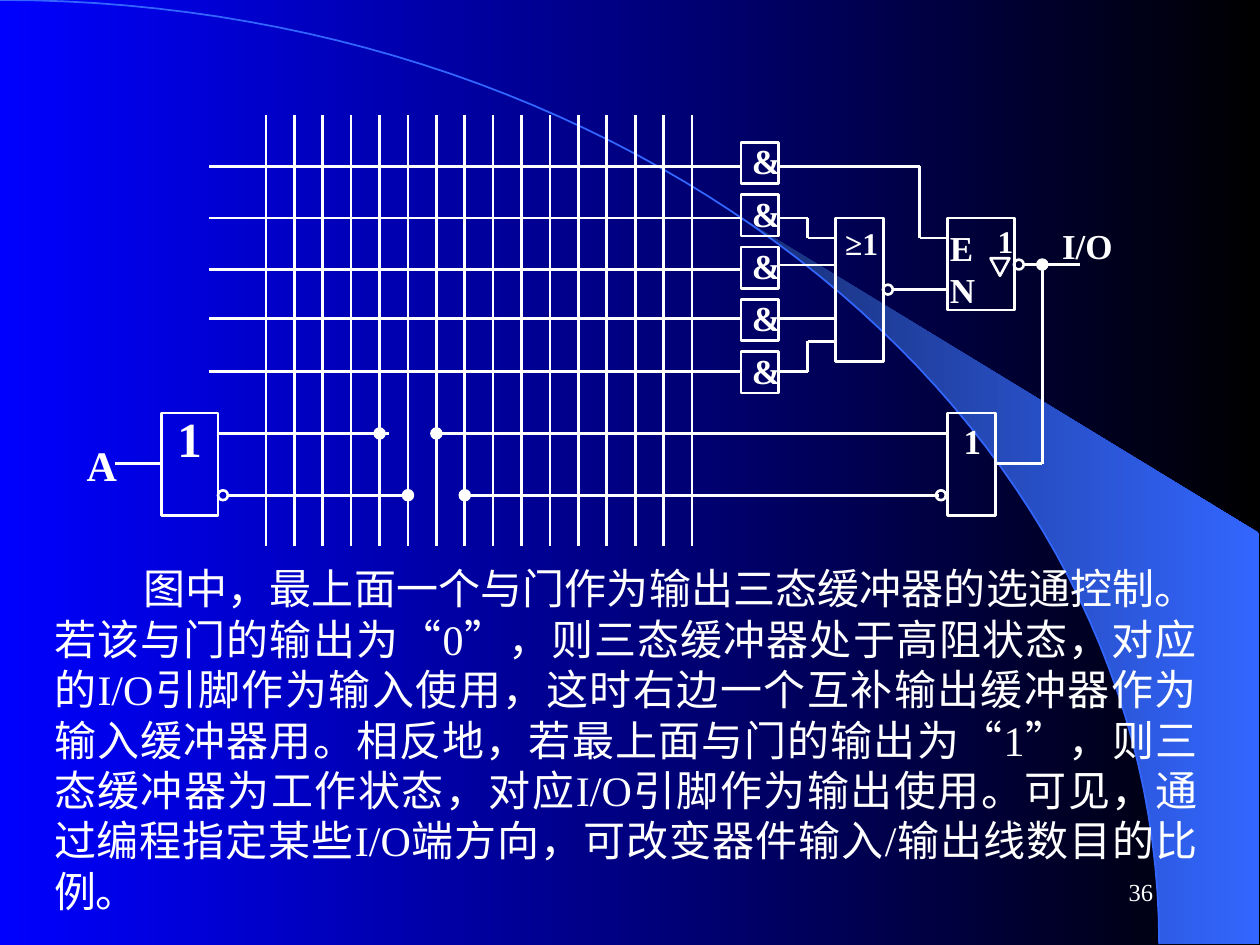
from pptx import Presentation
from pptx.dml.color import RGBColor
from pptx.enum.lang import MSO_LANGUAGE_ID as LANG
from pptx.enum.shapes import MSO_CONNECTOR, MSO_SHAPE as SHAPE
from pptx.enum.text import MSO_ANCHOR, MSO_AUTO_SIZE as AUTO, PP_ALIGN as ALIGN
from pptx.oxml.ns import qn
from pptx.util import Pt
from lxml import etree


def rgb(value):
    return RGBColor.from_string(value)


def arc_points(count=60):
    """Points along the large curve that crosses the slide."""
    curve = ((0, 0), (366, 0), (662.4, 241), (662.4, 539.5))
    weights = (1, 3, 3, 1)
    points = []
    for i in range(count + 1):
        t = i / count
        basis = [w * (1 - t) ** (3 - k) * t ** k for k, w in enumerate(weights)]
        points.append(tuple(sum(b * c[axis] for b, c in zip(basis, curve))
                            for axis in (0, 1)))
    return points


class Circuit:
    font = "Times New Roman"
    ink = "FFFFFF"
    accent = "3366FF"
    weight = 1.5

    def __init__(self, slide):
        self.s = slide

    def gradient(self, fill, start, end):
        fill.gradient()
        fill.gradient_angle = 0
        for stop, color in zip(fill.gradient_stops, (start, end)):
            stop.color.rgb = rgb(color)

    def outline(self, points, close):
        points = [(Pt(x), Pt(y)) for x, y in points]
        builder = self.s.shapes.build_freeform(*points[0], scale=1.0)
        builder.add_line_segments(points[1:], close=close)
        sp = builder.convert_to_shape()
        sp.shadow.inherit = False
        return sp

    def shape(self, kind, x, y, w, h, filled=False):
        sp = self.s.shapes.add_shape(kind, Pt(x), Pt(y), Pt(w), Pt(h))
        sp.shadow.inherit = False
        if filled:
            sp.fill.solid()
            sp.fill.fore_color.rgb = rgb(self.ink)
        else:
            sp.fill.background()
        sp.line.color.rgb = rgb(self.ink)
        sp.line.width = Pt(self.weight)
        return sp

    def box(self, x, y, w, h):
        return self.shape(SHAPE.RECTANGLE, x, y, w, h)

    def circle(self, x, y, filled=False):
        """Junction dot when filled, inversion bubble when not; x, y is the centre."""
        d = 5.6
        return self.shape(SHAPE.OVAL, x - d / 2, y - d / 2, d, d, filled)

    def wire(self, *points):
        for (x1, y1), (x2, y2) in zip(points, points[1:]):
            c = self.s.shapes.add_connector(
                MSO_CONNECTOR.STRAIGHT, Pt(x1), Pt(y1), Pt(x2), Pt(y2))
            c.line.color.rgb = rgb(self.ink)
            c.line.width = Pt(self.weight)
            etree.SubElement(c._element.spPr, qn("a:effectLst"))

    def text(self, text, x, y, w, h, size, bold=True, wrap=False,
             align=ALIGN.JUSTIFY, lang=LANG.ENGLISH_US):
        tb = self.s.shapes.add_textbox(Pt(x), Pt(y), Pt(w), Pt(h))
        tf = tb.text_frame
        tf.word_wrap = wrap
        tf.auto_size = AUTO.NONE if wrap else AUTO.SHAPE_TO_FIT_TEXT
        p = tf.paragraphs[0]
        p.alignment = align
        r = p.add_run()
        r.text = text
        r.font.name = self.font
        r.font.size = Pt(size)
        r.font.bold = bold
        r.font.color.rgb = rgb(self.ink)
        r.font.language_id = lang
        return tf


def draw_backdrop(c):
    c.gradient(c.s.background.fill, "0000FF", "000000")
    arc = arc_points()
    beam = [(424, 124.6)] + [pt for pt in arc if pt[0] > 424]
    sp = c.outline(beam + [(719.3, 539.3), (719.3, 304.6)], close=True)
    c.gradient(sp.fill, "182F76", c.accent)
    sp.line.fill.background()
    curve = c.outline(arc, close=False)
    curve.fill.background()
    curve.line.color.rgb = rgb(c.accent)
    curve.line.width = Pt(1)


def draw_array(c):
    columns = [152 + 16.23 * i for i in range(16)]
    for x in columns:
        c.wire((x, 66), (x, 312))

    # Product lines and their AND gates
    for i, y in enumerate((95, 124.6, 154, 182, 212.4)):
        c.wire((119.5, y), (422.6, y))
        top = 81.4 + 29.9 * i
        c.box(423.4, top, 21.6, 23.6)
        c.text("&", 422.6, top - 5, 31, 31.5, 20)

    # Complementary input lines, with feedback from the right
    c.wire((124.6, 247.7), (222.5, 247.7))
    c.wire((130.3, 283), (columns[5], 283))
    c.wire((columns[6], 247.7), (541.4, 247.7))
    c.wire((columns[7], 283), (536.4, 283))
    for column, y in ((4, 247.7), (5, 283), (6, 247.7), (7, 283)):
        c.circle(columns[column], y, filled=True)


def draw_buffers(c):
    # Input buffer
    c.box(92.2, 236, 32.4, 58.5)
    c.text("1", 94.3, 229.7, 28, 41, 28)
    c.wire((92.2, 265), (65.5, 265))
    c.text("A", 42.5, 247.7, 31.7, 36, 24)
    c.circle(127.4, 283)

    # OR gate and the wires into it
    c.box(477.4, 124.6, 27.4, 82)
    c.text("≥1", 475.9, 124.6, 33.1, 28.8, 18)
    c.wire((445, 124.6), (461.5, 124.6), (461.5, 136), (477.4, 136))
    c.wire((445, 151.4), (477.4, 151.4))
    c.wire((445, 182), (477.4, 182))
    c.wire((445, 212.4), (461.5, 212.4), (461.5, 195), (477.4, 195))
    c.circle(507.4, 165.5)
    c.wire((510, 165.5), (541.4, 165.5))

    # Three-state output buffer, enabled by the top gate
    c.wire((444.5, 95), (525.6, 95), (525.6, 136), (541.4, 136))
    c.box(541.4, 124.6, 38.2, 52.5)
    c.text("EN", 535.7, 126, 41.8, 31.5, 20)
    c.text("1", 563, 123.1, 23, 28.8, 18)
    c.shape(SHAPE.ISOSCELES_TRIANGLE, 566, 147.6, 10.8, 10).rotation = 180
    c.circle(582.2, 151.2)
    c.wire((585, 151.2), (617, 151.2))
    c.text("I/O", 599.8, 124.6, 43.2, 31.5, 20)

    # Feedback buffer
    c.box(541.4, 236, 27.4, 58.5)
    c.text("1", 543.6, 236, 24.5, 31.5, 20)
    c.circle(537.7, 283)
    c.wire((568.8, 265), (595.6, 265), (595.6, 151.2))
    c.circle(595.6, 151.2, filled=True)


def main():
    prs = Presentation()
    prs.slide_width, prs.slide_height = Pt(720), Pt(540)
    c = Circuit(prs.slides.add_slide(prs.slide_layouts[6]))

    draw_backdrop(c)

    # Slide number
    tf = c.text("36", 516.2, 491.8, 149.8, 36, 14, bold=False, wrap=True,
                align=ALIGN.RIGHT)
    tf.vertical_anchor = MSO_ANCHOR.MIDDLE

    # Explanation
    tf = c.text(
        "图中，最上面一个与门作为输出三态缓冲器的选通控制。"
        "若该与门的输出为“0”，则三态缓冲器处于高阻状态，"
        "对应的I/O引脚作为输入使用，这时右边一个互补输出缓冲器作为输入缓冲器用。"
        "相反地，若最上面与门的输出为“1”，则三态缓冲器为工作状态，"
        "对应I/O引脚作为输出使用。"
        "可见，通过编程指定某些I/O端方向，可改变器件输入/输出线数目的比例。",
        23.8, 318.2, 667.4, 208.8, 24, bold=False, wrap=True,
        lang=LANG.SIMPLIFIED_CHINESE)
    tf.paragraphs[0]._p.get_or_add_pPr().set("indent", str(Pt(51)))

    draw_array(c)
    draw_buffers(c)
    prs.save("out.pptx")


if __name__ == "__main__":
    main()
